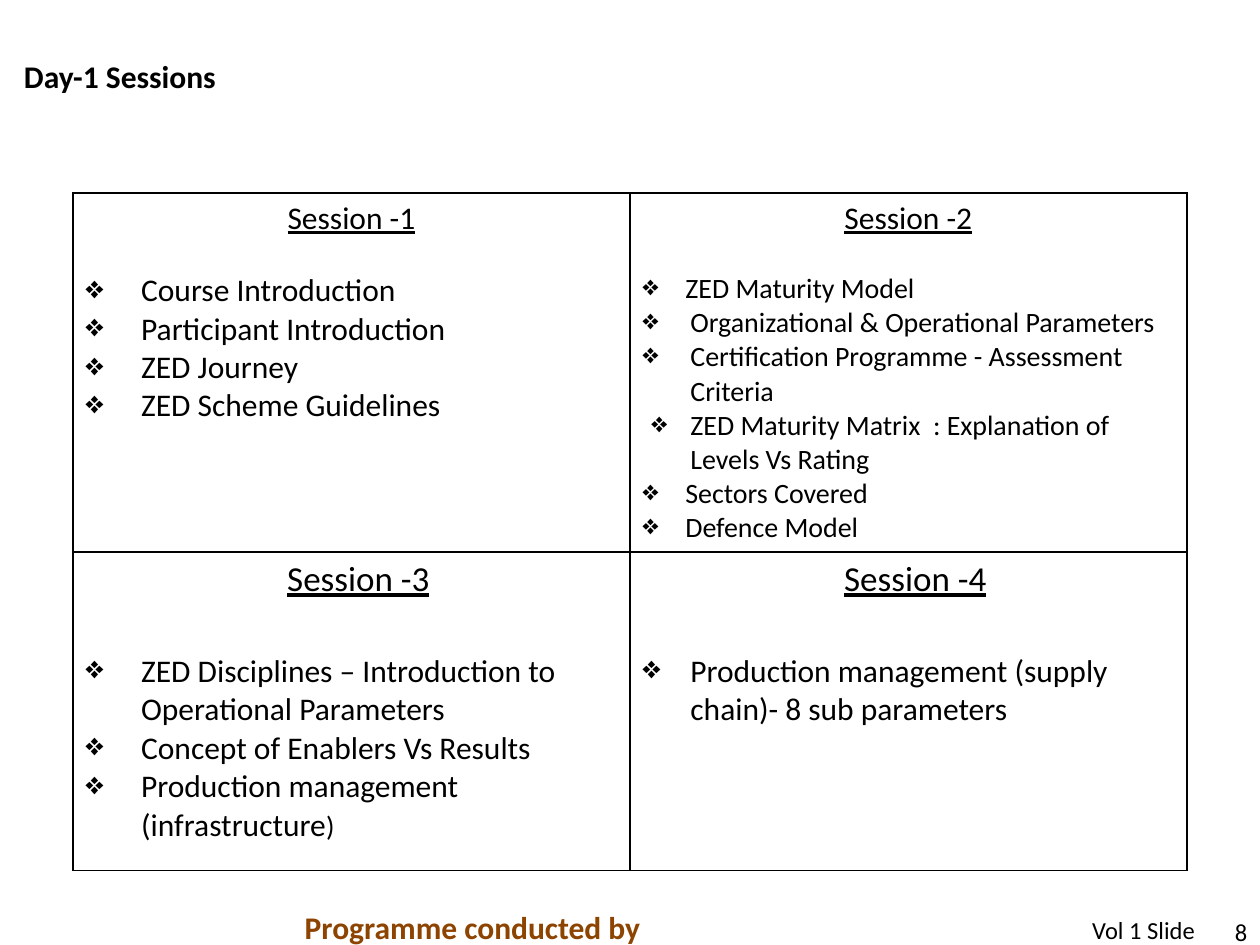
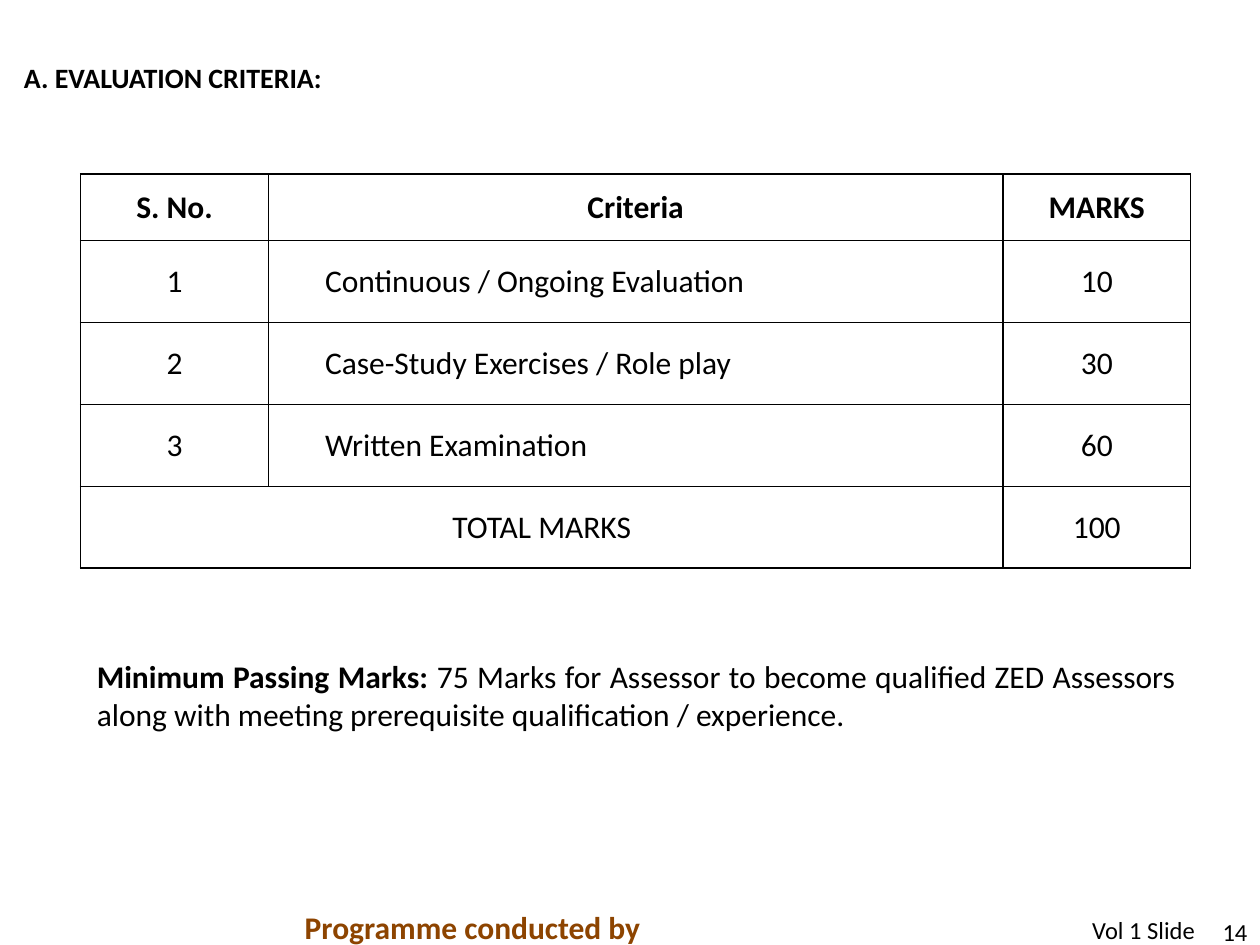
from dataclasses import dataclass

from lxml.etree import SubElement
from pptx import Presentation
from pptx.dml.color import RGBColor
from pptx.enum.text import MSO_ANCHOR, PP_ALIGN
from pptx.oxml.ns import qn
from pptx.util import Inches, Pt

FONT = "Calibri"
BLACK = RGBColor(0, 0, 0)
BROWN = RGBColor(0x8D, 0x44, 0x00)


@dataclass
class Session:
    heading: str
    heading_size: int
    heading_shift: float
    gap: float
    size: int
    topics: list


SESSIONS = [
    [
        Session("Session -1", 18, 0, 19.5, 18, [
            ("Course Introduction", 0.44, 0.44),
            ("Participant Introduction", 0.44, 0.44),
            ("ZED Journey", 0.44, 0.44),
            ("ZED Scheme Guidelines", 0.44, 0.44),
        ]),
        Session("Session -2", 18, 0, 19.5, 16, [
            ("ZED Maturity Model", 0.34, 0.34),
            ("Organizational & Operational Parameters", 0.38, 0.38),
            ("Certification Programme - Assessment Criteria", 0.38, 0.38),
            ("ZED Maturity Matrix  : Explanation of Levels Vs Rating", 0.38, 0.31),
            ("Sectors Covered", 0.34, 0.34),
            ("Defence Model", 0.34, 0.34),
        ]),
    ],
    [
        Session("Session -3", 20, 0.11, 29.3, 18, [
            ("ZED Disciplines – Introduction to Operational Parameters", 0.44, 0.44),
            ("Concept of Enablers Vs Results", 0.44, 0.44),
            ("Production management (infrastructure", 0.44, 0.44),
        ]),
        Session("Session -4", 20, 0.11, 29.3, 18, [
            ("Production management (supply chain)- 8 sub parameters", 0.38, 0.38),
        ]),
    ],
]

CRITERIA = [
    ("S. No.", "Criteria", "MARKS"),
    ("1", "Continuous / Ongoing Evaluation", "10"),
    ("2", "Case-Study Exercises / Role play", "30"),
    ("3", "Written Examination", "60"),
    ("TOTAL MARKS", "", "100"),
]


def style_span(span, size, bold=False, color=BLACK):
    span.font.name = FONT
    span.font.size = Pt(size)
    span.font.bold = bold
    span.font.color.rgb = color


def write(para, text, size, bold=False, color=BLACK, align=PP_ALIGN.LEFT):
    para.text = text
    para.alignment = align
    for span in para.runs:
        style_span(span, size, bold, color)


def append_span(para, text, size):
    span = para.add_run()
    span.text = text
    style_span(span, size)


def indent(para, left, hang=0):
    properties = para._p.get_or_add_pPr()
    properties.set("marL", str(Inches(left)))
    properties.set("indent", str(-Inches(hang)))
    return properties


def add_text(page, left, top, width, height, text, size, bold=False, color=BLACK,
             align=PP_ALIGN.LEFT, anchor=MSO_ANCHOR.TOP, inset=True):
    box = page.shapes.add_textbox(Inches(left), Inches(top), Inches(width), Inches(height))
    frame = box.text_frame
    frame.word_wrap = True
    frame.vertical_anchor = anchor
    if not inset:
        frame.margin_left = frame.margin_right = frame.margin_top = frame.margin_bottom = 0
    write(frame.paragraphs[0], text, size, bold, color, align)
    return frame.paragraphs[0]


def add_page(deck, title, title_size, number):
    page = deck.slides.add_slide(deck.slide_layouts[6])
    add_text(page, 9.61, 7.27, 0.29, 0.24, number, 14, align=PP_ALIGN.RIGHT,
             anchor=MSO_ANCHOR.BOTTOM, inset=False)
    add_text(page, 2.32, 7.16, 2.89, 0.4, "Programme conducted by", 18, True, BROWN)
    add_text(page, 8.57, 7.21, 1.03, 0.34, "Vol 1 Slide", 14)
    add_text(page, 0.19, 0.45, 7.65, 0.3, title, title_size, True,
             anchor=MSO_ANCHOR.BOTTOM, inset=False)
    return page


def outline_cell(cell):
    properties = cell._tc.get_or_add_tcPr()
    for side in ("a:lnL", "a:lnR", "a:lnT", "a:lnB"):
        line = SubElement(properties, qn(side), w=str(Pt(1)))
        fill = SubElement(line, qn("a:solidFill"))
        SubElement(fill, qn("a:srgbClr"), val=str(BLACK))
    cell.fill.background()


def add_grid(page, left, top, widths, heights):
    table = page.shapes.add_table(
        len(heights), len(widths), Inches(left), Inches(top),
        Inches(sum(widths)), Inches(sum(heights))).table
    table.first_row = False
    table.horz_banding = False
    for column, width in zip(table.columns, widths):
        column.width = Inches(width)
    for row, height in zip(table.rows, heights):
        row.height = Inches(height)
    for cell in table.iter_cells():
        outline_cell(cell)
    return table


def fill_session(cell, session):
    frame = cell.text_frame
    heading = frame.paragraphs[0]
    write(heading, session.heading, session.heading_size, align=PP_ALIGN.CENTER)
    heading.runs[0].font.underline = True
    indent(heading, session.heading_shift)
    for position, (topic, left, hang) in enumerate(session.topics):
        para = frame.add_paragraph()
        bullet = SubElement(indent(para, left, hang), qn("a:buChar"))
        bullet.set("char", "❖")
        para.space_before = Pt(0 if position else session.gap)
        write(para, topic, session.size)


def build_sessions(deck):
    page = add_page(deck, "Day-1 Sessions", 18, "8")
    table = add_grid(page, 0.58, 1.53, [4.42] * 2, [2.85, 2.53])
    for row, sessions in enumerate(SESSIONS):
        for column, session in enumerate(sessions):
            fill_session(table.cell(row, column), session)
    append_span(table.cell(1, 0).text_frame.paragraphs[-1], ")", 16)


def build_evaluation(deck):
    page = add_page(deck, "A. EVALUATION CRITERIA:", 16, "14")
    table = add_grid(page, 0.64, 1.38, [1.49, 5.83, 1.49], [0.53] + [0.65] * 4)
    total_row = len(CRITERIA) - 1
    table.cell(total_row, 0).merge(table.cell(total_row, 1))
    for row, texts in enumerate(CRITERIA):
        for column, text in enumerate(texts):
            cell = table.cell(row, column)
            if cell.is_spanned:
                continue
            cell.vertical_anchor = MSO_ANCHOR.MIDDLE
            cell.margin_left = cell.margin_right = Inches(0.07)
            cell.margin_top = cell.margin_bottom = 0
            para = cell.text_frame.paragraphs[0]
            is_criterion = column == 1 and row > 0
            if is_criterion:
                indent(para, 0.38)
            write(para, text, 18, bold=row == 0,
                  align=PP_ALIGN.LEFT if is_criterion else PP_ALIGN.CENTER)
    note = add_text(page, 0.67, 5.16, 8.76, 0.71, "Minimum Passing Marks: ", 18, True,
                    align=PP_ALIGN.JUSTIFY, anchor=MSO_ANCHOR.MIDDLE)
    append_span(note, "75 Marks for Assessor to become qualified ZED Assessors "
                      "along with meeting prerequisite qualification / experience.", 18)


def main():
    deck = Presentation()
    deck.slide_width = Inches(10)
    deck.slide_height = Inches(7.5)
    build_sessions(deck)
    build_evaluation(deck)
    deck.save("out.pptx")


if __name__ == "__main__":
    main()
